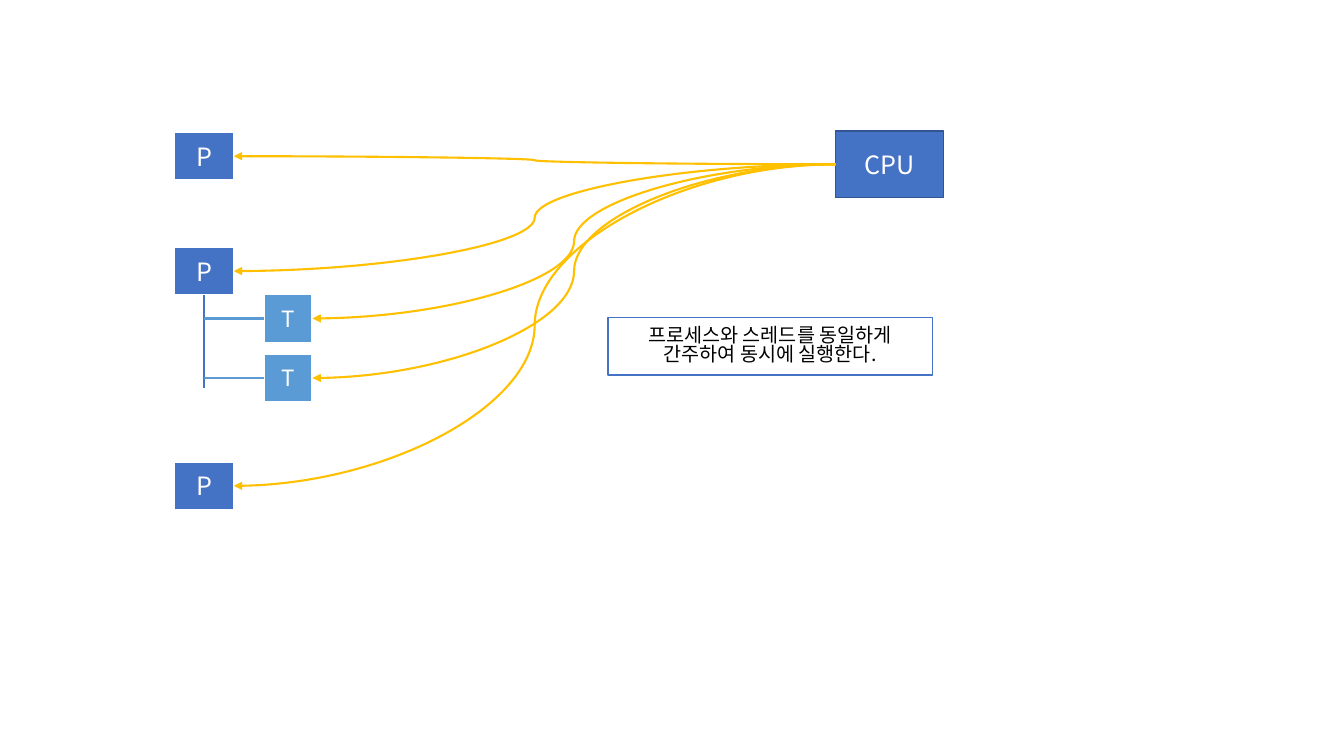
from dataclasses import dataclass

from lxml import etree
from pptx import Presentation
from pptx.dml.color import RGBColor
from pptx.enum.shapes import MSO_CONNECTOR, MSO_SHAPE
from pptx.enum.text import MSO_ANCHOR, PP_ALIGN
from pptx.oxml.ns import qn
from pptx.util import Inches, Pt

RECTANGLE = MSO_SHAPE.RECTANGLE
STRAIGHT, CURVE = MSO_CONNECTOR.STRAIGHT, MSO_CONNECTOR.CURVE
MIDDLE, CENTER = MSO_ANCHOR.MIDDLE, PP_ALIGN.CENTER
LEFT_SITE, RIGHT_SITE = 1, 3

CELL = Inches(0.1)
SLIDE_COLUMNS, SLIDE_ROWS = 133.33, 75
FONT = "Noto Sans CJK KR"
WHITE, BLACK = "FFFFFF", "000000"
BLUE, DARK_BLUE, LIGHT_BLUE, GOLD = "4472C4", "325491", "5B9BD5", "FFC000"
PROCESS_ROWS = (0, 11.4, 32.7)
THREAD_ROWS = (16.1, 22)
THREADED_PROCESS = 1
NODE_ROWS, PROCESS_COLUMNS, THREAD_COLUMNS = 4.8, 5.9, 4.8


@dataclass
class Box:
    """A region in grid columns and rows."""
    left: float
    top: float
    width: float
    height: float

    def inner(self, column, row, width, height):
        """Return a box offset from this one."""
        return Box(self.left + column, self.top + row, width, height)


def cells(*counts):
    """Convert grid cells to slide lengths."""
    return [round(count * CELL) for count in counts]


def color(hex_text):
    """Convert a hex string to a colour."""
    return RGBColor.from_string(hex_text)


def add_block(page, box, lines, size, fill, outline, weight, ink=WHITE, spacing=1.0):
    """Add a filled rectangle with centred text."""
    block = page.shapes.add_shape(
        RECTANGLE, *cells(box.left, box.top, box.width, box.height))
    block.shadow.inherit = False
    block.fill.solid()
    block.fill.fore_color.rgb = color(fill)
    block.line.color.rgb = color(outline)
    block.line.width = Pt(weight)
    frame = block.text_frame
    frame.word_wrap = True
    frame.vertical_anchor = MIDDLE
    frame.text = "\n".join(lines)
    for para in frame.paragraphs:
        para.alignment = CENTER
        para.line_spacing = spacing
        for span in para.runs:
            span.font.size = Pt(size)
            span.font.name = FONT
            span.font.color.rgb = color(ink)
            east_asian = etree.SubElement(span.font._element, qn("a:ea"))
            east_asian.set("typeface", FONT)
    return block


def add_line(page, kind, ends, tint):
    """Add a connector without a shadow."""
    line = page.shapes.add_connector(kind, *cells(*ends))
    line.line.color.rgb = color(tint)
    line.line.width = Pt(1.5)
    etree.SubElement(line._element.spPr, qn("a:effectLst"))
    return line


def add_schedule_arrow(page, cpu, task):
    """Link the CPU to a task with a curved arrow."""
    arrow = add_line(page, CURVE, (0, 0, 1, 1), GOLD)
    arrow.begin_connect(cpu, LEFT_SITE)
    arrow.end_connect(task, RIGHT_SITE)
    tail = etree.SubElement(arrow.line._get_or_add_ln(), qn("a:tailEnd"))
    tail.set("type", "triangle")


def add_tasks(page, box):
    """Add the processes and the thread branch, and return the task blocks."""
    processes = [
        add_block(page, box.inner(0, row, PROCESS_COLUMNS, NODE_ROWS),
                  ["P"], 18, BLUE, WHITE, 1.5)
        for row in PROCESS_ROWS]
    thread_column = box.width - THREAD_COLUMNS
    threads = [
        add_block(page, box.inner(thread_column, row, THREAD_COLUMNS, NODE_ROWS),
                  ["T"], 16, LIGHT_BLUE, WHITE, 1.5)
        for row in THREAD_ROWS]
    trunk = box.left + PROCESS_COLUMNS / 2
    trunk_top = box.top + PROCESS_ROWS[THREADED_PROCESS] + NODE_ROWS
    add_line(page, STRAIGHT, (trunk, trunk_top, trunk, trunk_top + 9.2), BLUE)
    for row in THREAD_ROWS:
        middle = box.top + row + NODE_ROWS / 2
        add_line(page, STRAIGHT,
                 (trunk, middle, box.left + thread_column, middle), LIGHT_BLUE)
    return processes + threads


def add_cpu(page, box, tasks):
    """Add the CPU and its arrows to every task."""
    cpu = add_block(page, box, ["CPU"], 18, BLUE, DARK_BLUE, 1)
    for task in tasks:
        add_schedule_arrow(page, cpu, task)


def add_caption(page, box):
    """Add the outlined explanation."""
    add_block(page, box, ["프로세스와 스레드를 동일하게", "간주하여 동시에 실행한다."],
              14, WHITE, BLUE, 1, BLACK, 0.8)


def build_deck():
    """Build and save the scheduling slide."""
    deck = Presentation()
    deck.slide_width, deck.slide_height = cells(SLIDE_COLUMNS, SLIDE_ROWS)
    page = deck.slides.add_slide(deck.slide_layouts[6])
    tasks = add_tasks(page, Box(17.3, 13.1, 13.7, 37.5))
    add_cpu(page, Box(82.9, 13, 10.7, 6.6), tasks)
    add_caption(page, Box(60.3, 31.5, 32.2, 5.7))
    deck.save("out.pptx")


build_deck()
